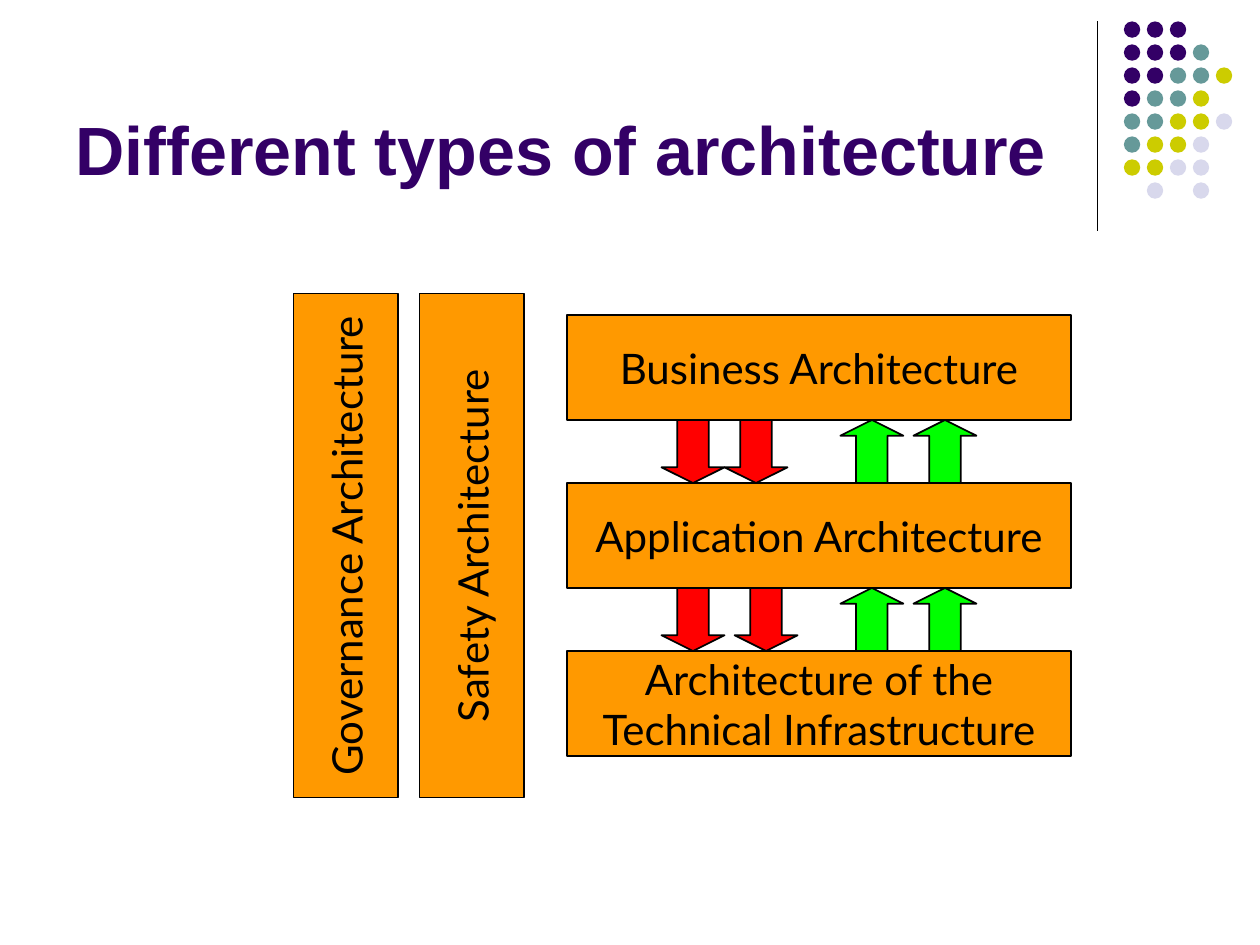
from lxml import etree
from pptx import Presentation
from pptx.dml.color import RGBColor
from pptx.enum.shapes import MSO_CONNECTOR, MSO_SHAPE
from pptx.enum.text import MSO_ANCHOR, MSO_AUTO_SIZE, PP_ALIGN
from pptx.oxml.ns import qn
from pptx.util import Inches, Pt

RECTANGLE = MSO_SHAPE.RECTANGLE
OVAL = MSO_SHAPE.OVAL
UP_ARROW = MSO_SHAPE.UP_ARROW
STRAIGHT = MSO_CONNECTOR.STRAIGHT
LEFT, CENTER = PP_ALIGN.LEFT, PP_ALIGN.CENTER
MIDDLE, BOTTOM = MSO_ANCHOR.MIDDLE, MSO_ANCHOR.BOTTOM
NO_AUTOFIT = MSO_AUTO_SIZE.NONE

PURPLE, BLACK, ORANGE = "330066", "000000", "FF9900"
RED, GREEN = "FF0000", "00FF00"
DOT_COLORS = {"P": PURPLE, "T": "669999", "Y": "CCCC00", "L": "D8D8EC"}
DOT_ROWS = ["PPP", "PPPT", "PPTTY", "PTTY", "TTYYL", "TYYL", "YYLL", " L L"]

LAYERS = [
    "Business Architecture",
    "Application Architecture",
    "Architecture of the\nTechnical Infrastructure",
]
TOWERS = ["Governance Architecture", "Safety Architecture"]
# Arrow offsets from the left edge of the layers, one pair for each gap
DOWN_ARROWS = [(0.75, 1.25), (0.75, 1.33)]
UP_ARROWS = (2.17, 2.75)


def rgb(color):
    return RGBColor.from_string(color)


def write_text(shape, text, font="Lato", size=24, color=BLACK, bold=False,
               align=CENTER, anchor=MIDDLE, wrap=False):
    frame = shape.text_frame
    frame.text = text
    frame.word_wrap = wrap
    frame.auto_size = NO_AUTOFIT
    frame.vertical_anchor = anchor
    for paragraph in frame.paragraphs:
        paragraph.alignment = align
        paragraph.font.name = font
        paragraph.font.size = Pt(size)
        paragraph.font.bold = bold
        paragraph.font.color.rgb = rgb(color)


def add_filled(slide, kind, left, top, width, height, fill, outlined=True):
    shape = slide.shapes.add_shape(
        kind, Inches(left), Inches(top), Inches(width), Inches(height))
    shape.shadow.inherit = False
    shape.fill.solid()
    shape.fill.fore_color.rgb = rgb(fill)
    if outlined:
        shape.line.color.rgb = rgb(BLACK)
        shape.line.width = Pt(1)
    else:
        shape.line.fill.background()
    return shape


def place_title(slide, left, top, width, height):
    title = slide.shapes.title
    title.left, title.top = Inches(left), Inches(top)
    title.width, title.height = Inches(width), Inches(height)
    write_text(title, "Different types of architecture", font="Arial", size=39,
               color=PURPLE, bold=True, align=LEFT, anchor=BOTTOM, wrap=True)


def add_corner_decoration(slide, left, top, width, height):
    """Draw the vertical rule and, to its right, the grid of dots."""
    rule = slide.shapes.add_connector(
        STRAIGHT, Inches(left), Inches(top), Inches(left), Inches(top + height))
    rule.line.color.rgb = rgb(BLACK)
    rule.line.width = Pt(0.75)
    etree.SubElement(rule.element.spPr, qn("a:effectLst"))

    diameter, indent = 0.13, 0.21
    pitch = (width - indent - diameter) / 4
    for row, codes in enumerate(DOT_ROWS):
        for column, code in enumerate(codes):
            if code in DOT_COLORS:
                add_filled(slide, OVAL, left + indent + column * pitch,
                           top + row * pitch, diameter, diameter,
                           DOT_COLORS[code], outlined=False)


def add_towers(slide, left, top, width, height):
    """Draw the tall boxes whose text reads upwards."""
    gap = 0.17
    thickness = (width - gap * (len(TOWERS) - 1)) / len(TOWERS)
    for index, text in enumerate(TOWERS):
        center = left + index * (thickness + gap) + thickness / 2
        tower = add_filled(slide, RECTANGLE, center - height / 2,
                           top + (height - thickness) / 2, height, thickness, ORANGE)
        tower.rotation = 270
        write_text(tower, text)


def add_arrow(slide, left, top, size, fill, rotation=0):
    arrow = add_filled(slide, UP_ARROW, left, top, size, size, fill)
    arrow.adjustments[0], arrow.adjustments[1] = 0.5, 0.25
    arrow.rotation = rotation


def add_layers(slide, left, top, width, height):
    """Stack the layers and fill the gaps between them with arrows."""
    gap = 0.5
    layer_height = (height - gap * (len(LAYERS) - 1)) / len(LAYERS)
    pitch = layer_height + gap
    for index, text in enumerate(LAYERS):
        layer = add_filled(slide, RECTANGLE, left, top + index * pitch,
                           width, layer_height, ORANGE)
        write_text(layer, text)
    for index, down_offsets in enumerate(DOWN_ARROWS):
        arrow_top = top + index * pitch + layer_height
        for offset in UP_ARROWS:
            add_arrow(slide, left + offset, arrow_top, gap, GREEN)
        for offset in down_offsets:
            add_arrow(slide, left + offset, arrow_top, gap, RED, rotation=180)


def main():
    presentation = Presentation()
    presentation.slide_width = Inches(10)
    presentation.slide_height = Inches(7.5)
    title_only = presentation.slide_layouts[5]
    slide = presentation.slides.add_slide(title_only)
    add_corner_decoration(slide, 8.71, 0.17, 1.07, 1.66)
    place_title(slide, 0.5, 0.13, 8.25, 1.42)
    add_layers(slide, 4.5, 2.5, 4, 3.5)
    add_towers(slide, 2.33, 2.33, 1.83, 4)
    presentation.save("out.pptx")


if __name__ == "__main__":
    main()
